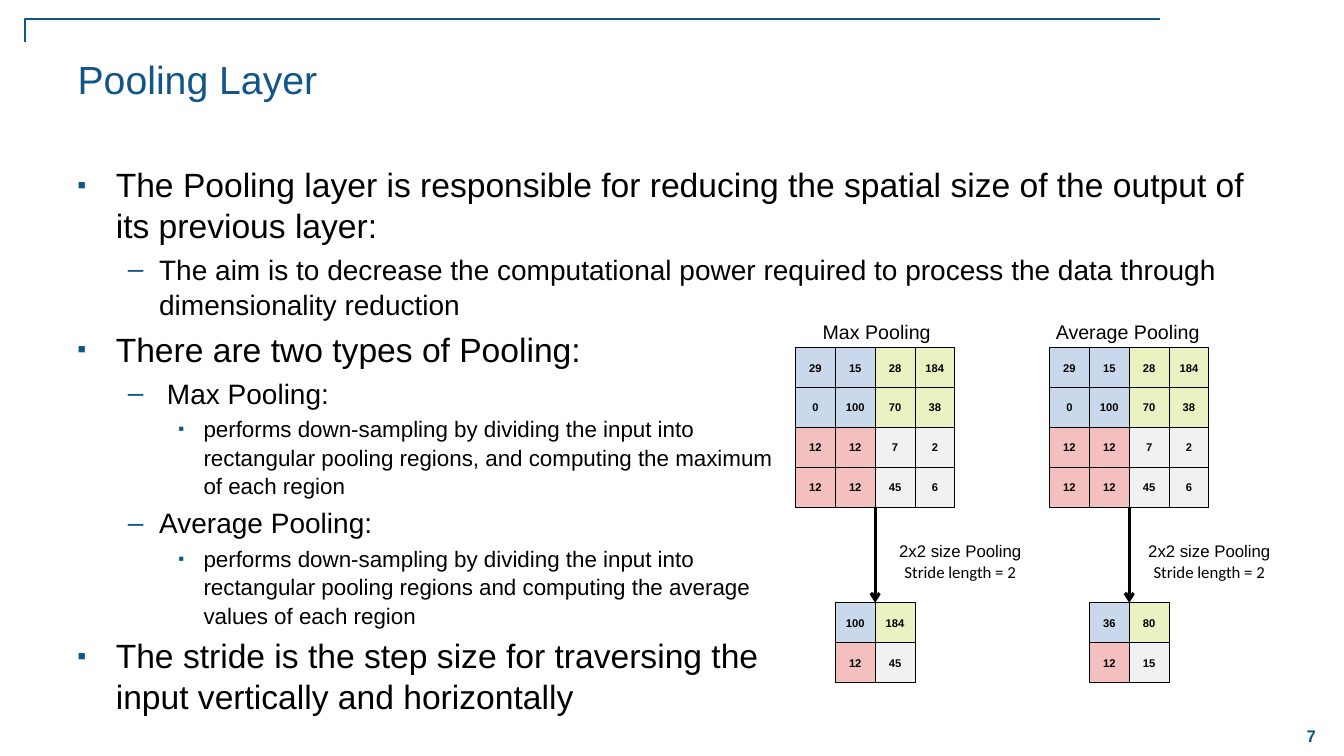
"""Build the Pooling Layer slide with max and average pooling diagrams."""
from lxml import etree
from pptx import Presentation
from pptx.dml.color import RGBColor
from pptx.enum.shapes import MSO_CONNECTOR, MSO_SHAPE
from pptx.enum.text import MSO_ANCHOR, PP_ALIGN
from pptx.oxml.ns import qn
from pptx.util import Inches, Pt

RECTANGLE = MSO_SHAPE.RECTANGLE
STRAIGHT, ELBOW = MSO_CONNECTOR.STRAIGHT, MSO_CONNECTOR.ELBOW
LEFT, CENTER = PP_ALIGN.LEFT, PP_ALIGN.CENTER
TOP, MIDDLE = MSO_ANCHOR.TOP, MSO_ANCHOR.MIDDLE
COLORS = {"accent": "125687", "ink": "000000", "blue": "95B3D7",
          "green": "D7E686", "red": "EA8080", "gray": "E5E5E5"}
QUADRANTS = [["blue", "green"], ["red", "gray"]]
CELL = 1.58 / 4
GRID_TOP, RESULT_TOP = 3.45, 5.98
GRID_BOTTOM = GRID_TOP + 4 * CELL

LEVELS = [
    {"size": 24, "indent": 0.38, "hang": 0.38, "bullet": "▪", "scale": 75, "spacing": 1.0},
    {"size": 20, "indent": 0.81, "hang": 0.31, "bullet": "–", "scale": 100, "spacing": 1.05},
    {"size": 16, "indent": 1.25, "hang": 0.25, "bullet": "▪", "scale": 75, "spacing": 1.05},
]
BODIES = [
    ((0.67, 1.58, 11.91, 1.08), [
        (0, "The Pooling layer is responsible for reducing the spatial size of the output of its previous layer:"),
        (1, "The aim is to decrease the computational power required to process the data through dimensionality reduction"),
    ]),
    ((0.67, 3.21, 7.09, 4.2), [
        (0, "There are two types of Pooling:"),
        (1, " Max Pooling:"),
        (2, "performs down-sampling by dividing the input into rectangular pooling regions, and computing the maximum of each region"),
        (1, "Average Pooling:"),
        (2, "performs down-sampling by dividing the input into rectangular pooling regions and computing the average values of each region"),
        (0, "The stride is the step size for traversing the input vertically and horizontally"),
    ]),
]
INPUT_VALUES = [[29, 15, 28, 184], [0, 100, 70, 38], [12, 12, 7, 2], [12, 12, 45, 6]]
POOLINGS = [
    {"name": "Max Pooling", "grid": 7.89, "label": 7.77, "stride": 8.24,
     "result": [[100, 184], [12, 45]]},
    {"name": "Average Pooling", "grid": 10.41, "label": 10.26, "stride": 10.71,
     "result": [[36, 80], [12, 15]]},
]


def write(paragraph, text, size, color="ink", font="Arial", bold=False):
    run = paragraph.add_run()
    run.text = text
    run.font.size = Pt(size)
    run.font.name = font
    run.font.bold = bold
    run.font.color.rgb = RGBColor.from_string(COLORS[color])


def draw_line(kind, start, end, color, width):
    line = slide.shapes.add_connector(kind, *map(Inches, start + end))
    line.line.color.rgb = RGBColor.from_string(COLORS[color])
    line.line.width = Pt(width)
    etree.SubElement(line._element.spPr, qn("a:effectLst"))
    return line


prs = Presentation()
prs.slide_width, prs.slide_height = Inches(13.33), Inches(7.5)
slide = prs.slides.add_slide(prs.slide_layouts[5])

title = slide.shapes.title
title.left, title.top, title.width, title.height = map(Inches, (0.67, 0.5, 11.78, 1.08))
title.text_frame.vertical_anchor = TOP
heading = title.text_frame.paragraphs[0]
heading.alignment = LEFT
write(heading, "Pooling Layer", 28, "accent")

corner = draw_line(ELBOW, (11.51, 0.19), (0.25, 0.42), "accent", 1)
bend = corner._element.spPr.find(qn("a:prstGeom")).find(qn("a:avLst"))
etree.SubElement(bend, qn("a:gd"), name="adj1", fmla="val 100000")

page_number = slide.shapes.add_textbox(*map(Inches, (12.67, 7.09, 0.67, 0.42))).text_frame
page_number.vertical_anchor = MIDDLE
page_number.word_wrap = True
page_number.paragraphs[0].alignment = CENTER
write(page_number.paragraphs[0], "7", 12, "accent", bold=True)

for bounds, points in BODIES:
    body = slide.shapes.add_textbox(*map(Inches, bounds)).text_frame
    body.word_wrap = True
    for index, (depth, text) in enumerate(points):
        level = LEVELS[depth]
        point = body.add_paragraph() if index else body.paragraphs[0]
        point.level = depth
        point.line_spacing = level["spacing"]
        point.space_before = Pt(0.2 * level["size"])
        props = point._p.get_or_add_pPr()
        props.set("marL", str(Inches(level["indent"])))
        props.set("indent", str(-Inches(level["hang"])))
        bullet_color = etree.SubElement(props, qn("a:buClr"))
        etree.SubElement(bullet_color, qn("a:srgbClr"), val=COLORS["accent"])
        etree.SubElement(props, qn("a:buSzPct"), val=str(level["scale"] * 1000))
        etree.SubElement(props, qn("a:buFont"), typeface="Arial")
        etree.SubElement(props, qn("a:buChar"), char=level["bullet"])
        write(point, text, level["size"])

for pooling in POOLINGS:
    grids = [(pooling["grid"], GRID_TOP, INPUT_VALUES),
             (pooling["grid"] + CELL, RESULT_TOP, pooling["result"])]
    for left, top, values in grids:
        region = len(values) // 2
        for row, numbers in enumerate(values):
            for column, number in enumerate(numbers):
                cell = slide.shapes.add_shape(
                    RECTANGLE, Inches(left + column * CELL), Inches(top + row * CELL),
                    Inches(CELL), Inches(CELL))
                cell.shadow.inherit = False
                cell.fill.solid()
                shade = COLORS[QUADRANTS[row // region][column // region]]
                cell.fill.fore_color.rgb = RGBColor.from_string(shade)
                tint = cell._element.spPr.find(qn("a:solidFill"))[0]
                etree.SubElement(tint, qn("a:alpha"), val="50000")
                cell.line.color.rgb = RGBColor.from_string(COLORS["ink"])
                cell.line.width = Pt(0.5)
                frame = cell.text_frame
                frame.margin_left = frame.margin_right = 0
                frame.vertical_anchor = MIDDLE
                frame.paragraphs[0].alignment = CENTER
                write(frame.paragraphs[0], str(number), 8, bold=True)

    middle = pooling["grid"] + 2 * CELL
    arrow = draw_line(STRAIGHT, (middle, GRID_BOTTOM), (middle, RESULT_TOP), "ink", 2.25)
    etree.SubElement(arrow.line._get_or_add_ln(), qn("a:tailEnd"), type="arrow")

    label = slide.shapes.add_textbox(*map(Inches, (pooling["label"], 3.12, 1.85, 0.34))).text_frame
    label.word_wrap = True
    label.paragraphs[0].alignment = CENTER
    write(label.paragraphs[0], pooling["name"], 14)

    stride = slide.shapes.add_textbox(*map(Inches, (pooling["stride"], 5.32, 2.57, 0.5))).text_frame
    stride.word_wrap = True
    settings = stride.paragraphs[0]
    settings.alignment = CENTER
    write(settings, "2x2 size Pooling", 12)
    settings.add_line_break()
    write(settings, "Stride length = 2", 12, font="Calibri")

prs.save("out.pptx")
